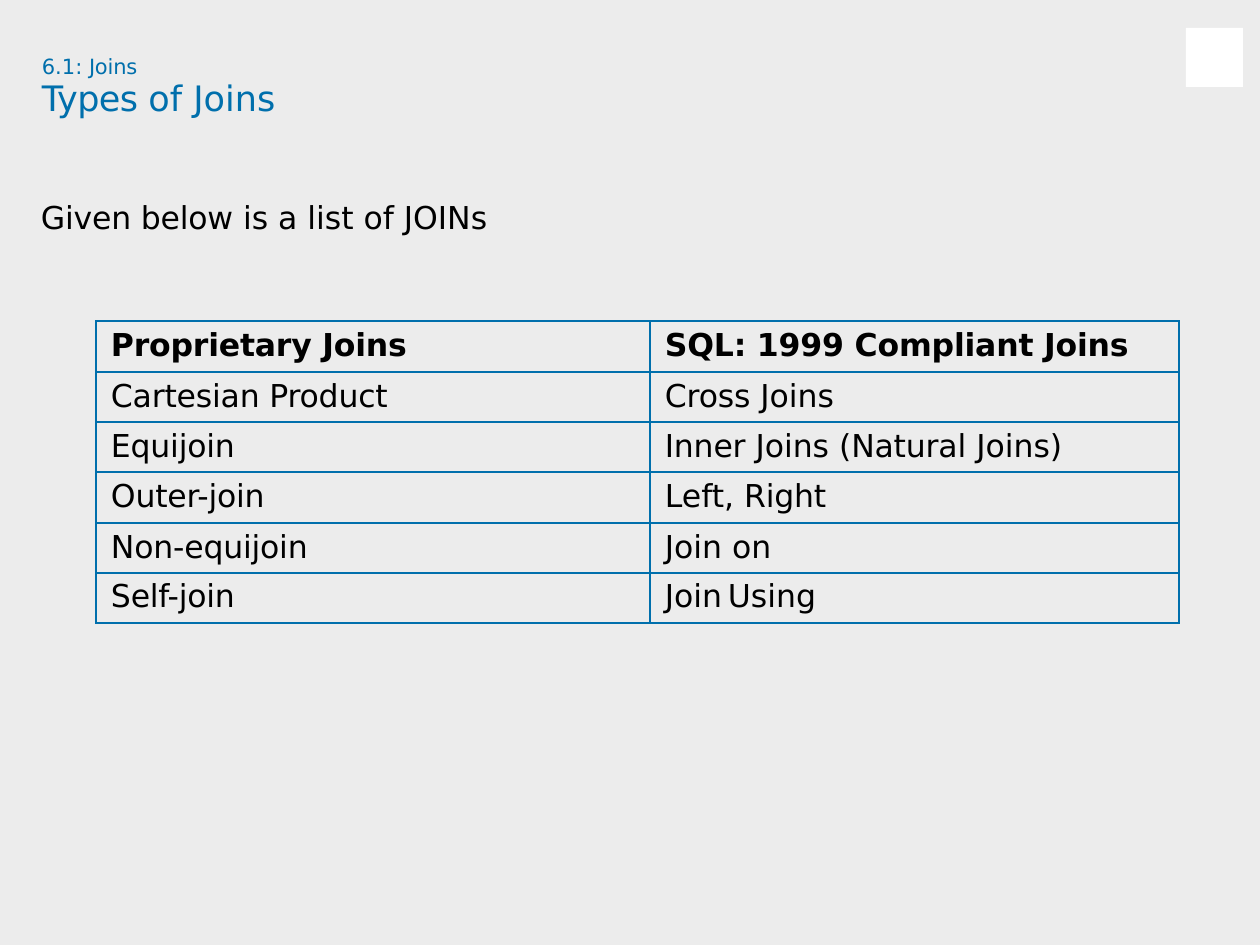
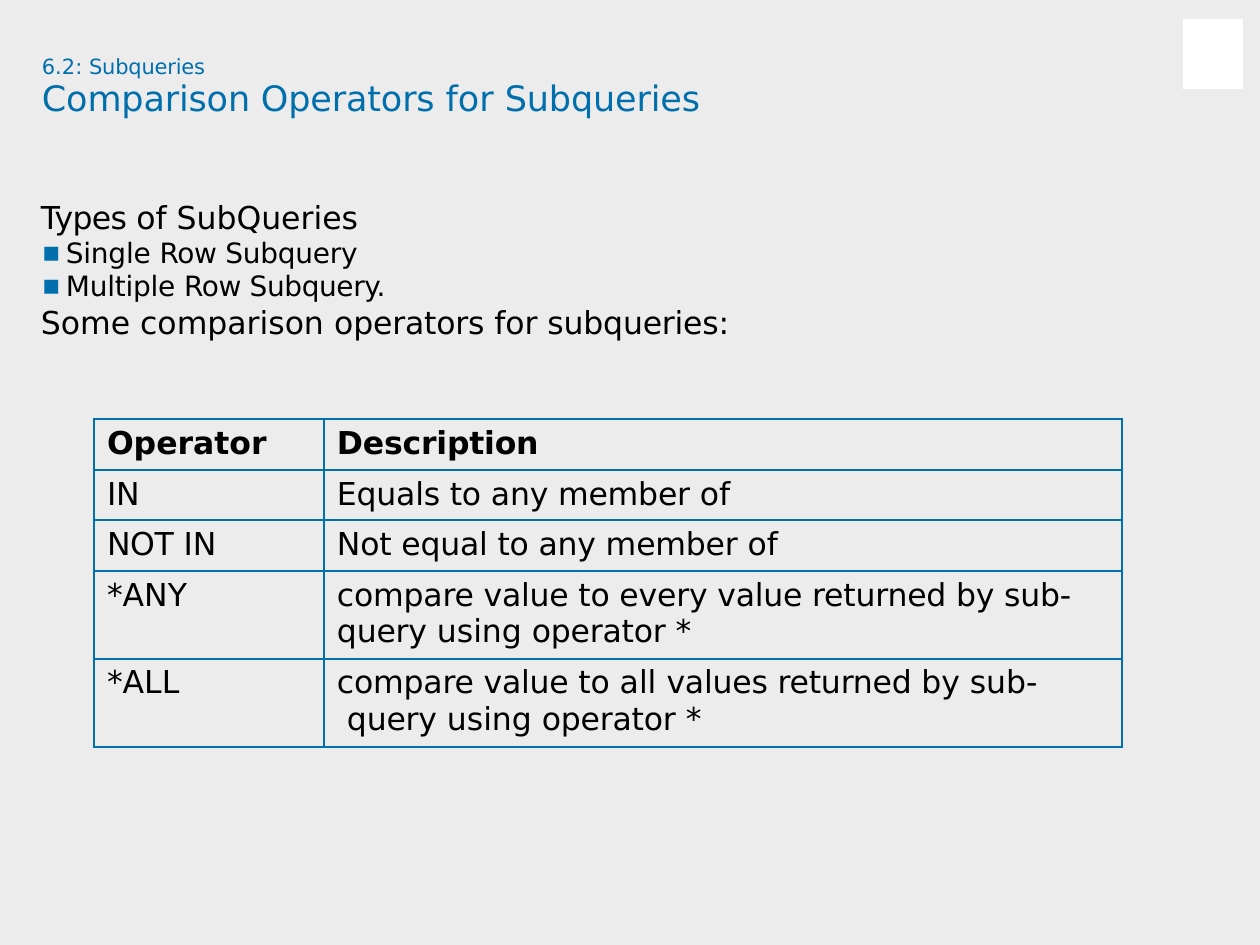
"""Two lesson slides on SQL joins and subqueries."""
from dataclasses import dataclass
from lxml.etree import SubElement
from pptx import Presentation
from pptx.dml.color import RGBColor as Color
from pptx.enum.shapes import MSO_SHAPE as Preset
from pptx.oxml.ns import qn
from pptx.util import Emu, Pt

PIXEL = 914400 // 126


@dataclass(frozen=True)
class Theme:
    """Colours, font and type sizes of the deck."""
    page: str = "ECECEC"
    patch: str = "FFFFFF"
    accent: str = "006FAC"
    ink: str = "000000"
    font: str = "DejaVu Sans"
    section: int = 12
    title: int = 20
    body: int = 18
    bullet: int = 16


@dataclass(frozen=True)
class Span:
    """A piece of text with its letter spacing in points."""
    text: str
    tracking: float = -0.1


@dataclass(frozen=True)
class Line:
    """One paragraph: spans, type and spacing in points, indents in pixels."""
    spans: tuple[Span, ...]
    size: int
    color: str
    bold: bool = False
    before: float = 1
    pitch: float | None = None
    margin: int = 1
    hanging: int = 0
    tab: int | None = None


@dataclass(frozen=True)
class Box:
    """A rectangle in pixels."""
    left: int
    top: int
    width: int
    height: int

    def emu(self) -> tuple[Emu, ...]:
        """Return the rectangle in EMU."""
        return tuple(px(value) for value in
                     (self.left, self.top, self.width, self.height))


@dataclass(frozen=True)
class Grid:
    """A ruled table: place, column widths and row heights in pixels."""
    left: int
    top: int
    columns: tuple[int, ...]
    rows: tuple[int, ...]
    margin: int
    cells: tuple[tuple[tuple[Line, ...], ...], ...]


THEME = Theme()


def px(value: int) -> Emu:
    """Turn pixels into EMU."""
    return Emu(value * PIXEL)


def spans(*parts: str | Span) -> tuple[Span, ...]:
    """Turn plain strings into spans with the usual tracking."""
    return tuple(part if isinstance(part, Span) else Span(part) for part in parts)


def loose(text: str) -> Span:
    """Return a span without tracking."""
    return Span(text, 0)


def body(*parts: str | Span, **options) -> Line:
    """Return a line of body text."""
    return Line(spans(*parts), THEME.body, THEME.ink, **options)


def bullet(*parts: str | Span) -> Line:
    """Return a bulleted line."""
    return Line(spans(*parts), THEME.bullet, THEME.ink, before=0, pitch=19,
                margin=26, hanging=24)


def cell(*parts: str | Span, margin: int, **options) -> tuple[Line, ...]:
    """Return the content of a one-paragraph cell."""
    return (body(*parts, before=3.5, margin=margin, **options),)


def write_lines(frame, lines: tuple[Line, ...]) -> None:
    """Fill a text frame with formatted paragraphs."""
    frame.word_wrap = True
    for index, line in enumerate(lines):
        para = frame.add_paragraph() if index else frame.paragraphs[0]
        para.space_before = Pt(line.before)
        if line.pitch:
            para.line_spacing = Pt(line.pitch)
        props = para._p.get_or_add_pPr()
        props.set("marL", str(px(line.margin)))
        props.set("indent", str(px(-line.hanging)))
        if line.hanging:
            tint = SubElement(props, qn("a:buClr"))
            SubElement(tint, qn("a:srgbClr"), val=THEME.accent)
            SubElement(props, qn("a:buFont"), typeface=THEME.font)
            SubElement(props, qn("a:buChar"), char="▪")
        if line.tab:
            stops = SubElement(props, qn("a:tabLst"))
            SubElement(stops, qn("a:tab"), pos=str(px(line.tab)), algn="l")
        for span in line.spans:
            run = para.add_run()
            run.text = span.text
            run.font.name = THEME.font
            run.font.size = Pt(line.size)
            run.font.bold = line.bold
            run.font.color.rgb = Color.from_string(line.color)
            run._r.get_or_add_rPr().set("spc", str(round(span.tracking * 100)))


def add_text(page, box: Box, *lines: Line) -> None:
    """Add a text box with almost no insets."""
    frame = page.shapes.add_textbox(*box.emu()).text_frame
    frame.margin_left = frame.margin_right = frame.margin_bottom = 0
    frame.margin_top = px(1)
    write_lines(frame, lines)


def rule_cell(target) -> None:
    """Draw the four borders of a table cell."""
    props = target._tc.get_or_add_tcPr()
    for side in ("lnL", "lnR", "lnT", "lnB"):
        border = SubElement(props, qn(f"a:{side}"), w=str(Pt(1)))
        fill = SubElement(border, qn("a:solidFill"))
        SubElement(fill, qn("a:srgbClr"), val=THEME.accent)


def add_grid(page, grid: Grid) -> None:
    """Add a ruled table."""
    box = Box(grid.left, grid.top, sum(grid.columns), sum(grid.rows))
    table = page.shapes.add_table(len(grid.rows), len(grid.columns), *box.emu()).table
    table.first_row = table.horz_banding = False
    for column, width in zip(table.columns, grid.columns):
        column.width = px(width)
    for row, height, contents in zip(table.rows, grid.rows, grid.cells):
        row.height = px(height)
        for target, lines in zip(row.cells, contents):
            target.margin_left = target.margin_right = target.margin_bottom = 0
            target.margin_top = px(6)
            rule_cell(target)
            target.fill.solid()
            target.fill.fore_color.rgb = Color.from_string(THEME.page)
            write_lines(target.text_frame, lines)


def add_page(deck, patch: Box, section: tuple[Span, ...], title: tuple[Span, ...]):
    """Add a page with its background, corner patch, section and title."""
    page = deck.slides.add_slide(deck.slide_layouts[6])
    page.background.fill.solid()
    page.background.fill.fore_color.rgb = Color.from_string(THEME.page)
    corner = page.shapes.add_shape(Preset.RECTANGLE, *patch.emu())
    corner.shadow.inherit = False
    corner.fill.solid()
    corner.fill.fore_color.rgb = Color.from_string(THEME.patch)
    corner.line.fill.background()
    add_text(page, Box(41, 53, 300, 29), Line(section, THEME.section, THEME.accent))
    add_text(page, Box(41, 75, 700, 45), Line(title, THEME.title, THEME.accent))
    return page


def joins_grid() -> Grid:
    """Return the table of join types."""
    pairs = (
        (("Cartesian Product",), ("Cross ", loose("Joins"))),
        (("Equijoin",),
         ("Inner ", loose("Joins "), "(Natural", loose(" Joins)"))),
        (("Outer-join",), (loose("Left, "), "Right")),
        (("Non-equijoin",), (loose("Join on"),)),
    )
    margin = 15
    head = tuple(cell(text, margin=margin, bold=True)
                 for text in ("Proprietary Joins", "SQL: 1999 Compliant Joins"))
    plain = tuple(tuple(cell(*parts, margin=margin) for parts in pair)
                  for pair in pairs)
    last = (cell("Self-join", margin=margin),
            cell(loose("Join\tUsing"), margin=margin, tab=100))
    return Grid(96, 321, (554, 529), (51, 50, 50) * 2, margin,
                (head, *plain, last))


def operators_grid() -> Grid:
    """Return the table of comparison operators."""
    margin = 13
    head = (cell(loose("Operator"), margin=margin, bold=True),
            cell("Description", margin=margin, bold=True))
    pairs = (
        (("IN",), ("Equals to any member ", loose("of"))),
        ((Span("NOT ", -0.2), loose("IN")),
         ("Not equal to any member ", loose("of"))),
        ((loose("*ANY"),), ("compare value to every value returned by sub-",)),
        ((loose("*ALL"),),
         ("compare value to ", loose("all "), "values returned by ", loose("sub-"))),
    )
    rows = [tuple(cell(*parts, margin=margin) for parts in pair) for pair in pairs]
    ending = ("query ", loose("using"), " operator ", loose("*"))
    for index, indent in ((2, margin), (3, margin + 10)):
        name, lines = rows[index]
        rows[index] = (name, lines + (body(*ending, before=0, margin=indent),))
    return Grid(94, 419, (230, 798), (51, 50, 51, 88, 88), margin, (head, *rows))


def main() -> None:
    """Build and save the deck."""
    deck = Presentation()
    deck.slide_width, deck.slide_height = px(1260), px(945)

    page = add_page(deck, Box(1186, 28, 57, 59), spans(loose("6.1: "), "Joins"),
                    spans(Span("Types ", -0.4), loose("of Joins")))
    add_text(page, Box(40, 197, 466, 42),
             body("Given below ", loose("is a list of JOINs")))
    add_grid(page, joins_grid())

    page = add_page(deck, Box(1183, 19, 60, 70), spans(loose("6.2: "), "Subqueries"),
                    spans("Comparison Operators ", loose("for "), "Subqueries"))
    add_text(page, Box(40, 197, 701, 146),
             body(Span("Types ", -0.4), loose("of SubQueries"), pitch=21.4),
             bullet("Single ", Span("Row ", -0.2), "Subquery"),
             bullet("Multiple ", Span("Row Subquery.", -0.2)),
             body(loose("Some comparison "), "operators ", loose("for"),
                  " subqueries:", before=0.4))
    add_grid(page, operators_grid())
    deck.save("out.pptx")


main()
